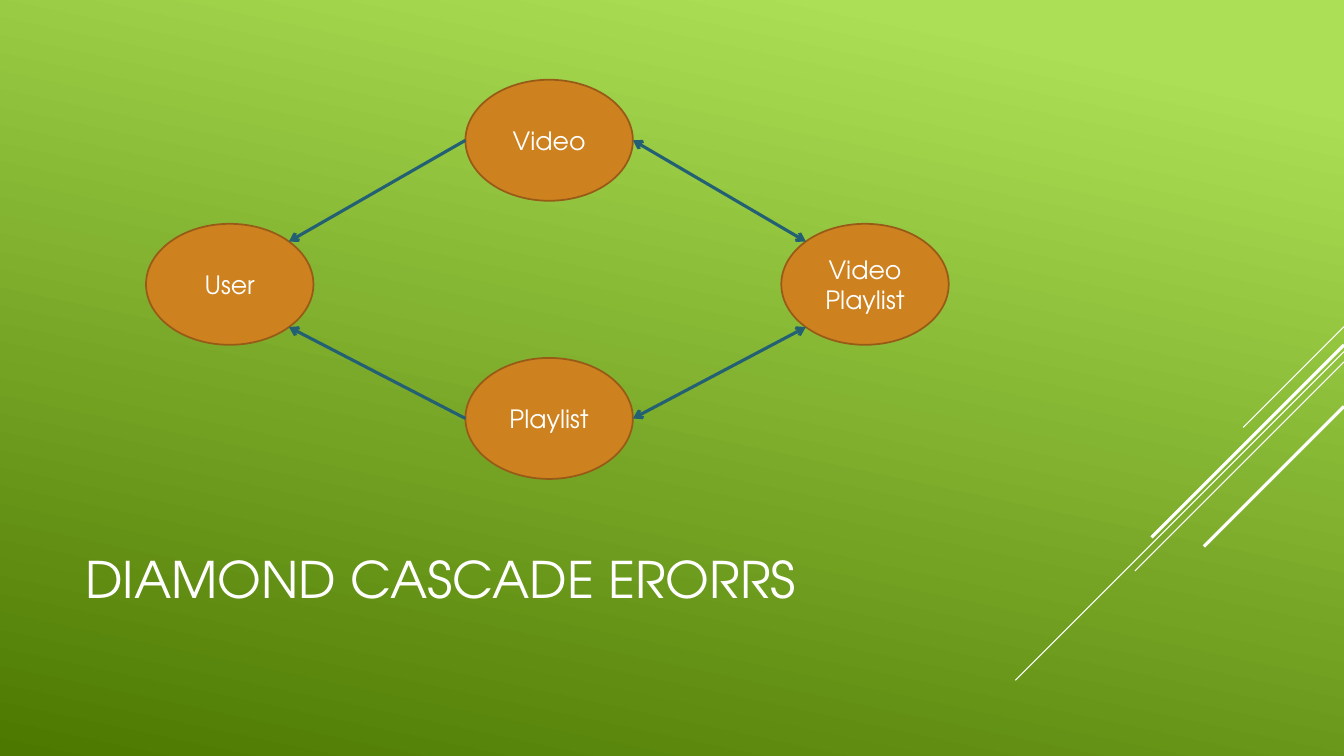
from math import cos, radians, sin
from typing import NamedTuple

from lxml.etree import SubElement
from pptx import Presentation
from pptx.dml.color import RGBColor
from pptx.enum.shapes import MSO_CONNECTOR, MSO_SHAPE
from pptx.enum.text import MSO_ANCHOR, PP_ALIGN
from pptx.oxml.ns import qn
from pptx.util import Cm, Pt

FONT = "TeX Gyre Adventor"
WHITE, ORANGE, BROWN, TEAL = "FFFFFF", "CD811F", "985B17", "236073"
PAGE_WIDTH, PAGE_HEIGHT = 33.87, 19.05
NODE_WIDTH, NODE_HEIGHT = 4.22, 3.05


class Point(NamedTuple):
    x: float
    y: float


class Node(NamedTuple):
    label: str
    left: float
    top: float

    def edge(self, degrees: float) -> Point:
        """Point on the ellipse, clockwise from its right end."""
        angle = radians(degrees)
        return Point(self.left + NODE_WIDTH / 2 * (1 + cos(angle)),
                     self.top + NODE_HEIGHT / 2 * (1 + sin(angle)))


class Relation(NamedTuple):
    start: Point
    end: Point
    both_ways: bool


class Streak(NamedTuple):
    top: float
    run: float
    weight: float


def color(value: str) -> RGBColor:
    return RGBColor.from_string(value)


def write(shape, text: str, *, size: float, align=PP_ALIGN.LEFT) -> None:
    frame = shape.text_frame
    frame.word_wrap = True
    frame.vertical_anchor = MSO_ANCHOR.MIDDLE
    for index, line in enumerate(text.split("\n")):
        para = frame.add_paragraph() if index else frame.paragraphs[0]
        para.alignment = align
        span = para.add_run()
        span.text = line
        span.font.name = FONT
        span.font.size = Pt(size)
        span.font.color.rgb = color(WHITE)


def draw_line(page, start: Point, end: Point, *, ink: str, weight: float,
              arrows: tuple[str, ...] = ()) -> None:
    connector = page.shapes.add_connector(
        MSO_CONNECTOR.STRAIGHT, Cm(start.x), Cm(start.y), Cm(end.x), Cm(end.y))
    connector.line.color.rgb = color(ink)
    connector.line.width = Pt(weight)
    properties = connector._element.spPr
    for arrow in arrows:
        SubElement(properties.find(qn("a:ln")), qn(arrow), type="arrow")
    SubElement(properties, qn("a:effectLst"))


def draw_streak(page, streak: Streak) -> None:
    draw_line(page, Point(PAGE_WIDTH, streak.top),
              Point(PAGE_WIDTH - streak.run, streak.top + streak.run),
              ink=WHITE, weight=streak.weight)


def draw_node(page, node: Node) -> None:
    ellipse = page.shapes.add_shape(
        MSO_SHAPE.OVAL, Cm(node.left), Cm(node.top), Cm(NODE_WIDTH), Cm(NODE_HEIGHT))
    ellipse.shadow.inherit = False
    ellipse.fill.solid()
    ellipse.fill.fore_color.rgb = color(ORANGE)
    ellipse.line.color.rgb = color(BROWN)
    ellipse.line.width = Pt(1.25)
    frame = ellipse.text_frame
    frame.margin_left = frame.margin_right = Cm(0)
    write(ellipse, node.label, size=18, align=PP_ALIGN.CENTER)


def draw_relation(page, relation: Relation) -> None:
    arrows = ("a:headEnd", "a:tailEnd") if relation.both_ways else ("a:tailEnd",)
    draw_line(page, relation.start, relation.end, ink=TEAL, weight=2.25, arrows=arrows)


deck = Presentation()
deck.slide_width, deck.slide_height = Cm(PAGE_WIDTH), Cm(PAGE_HEIGHT)
page = deck.slides.add_slide(deck.slide_layouts[6])

# Background gradient
backdrop = page.background.fill
backdrop.gradient()
backdrop.gradient_angle = 258
for stop, (position, tint) in zip(backdrop.gradient_stops,
                                  [(0.1, "ACDF55"), (1, "4C7800")]):
    stop.position = position
    stop.color.rgb = color(tint)

# Diagonal streaks at the right edge
for streak in (Streak(8.23, 2.54, 0.75), Streak(8.86, 8.28, 0.75),
               Streak(9.12, 5.27, 0.75), Streak(8.69, 4.85, 2.25),
               Streak(10.24, 3.53, 2.25)):
    draw_streak(page, streak)

# Title
title = page.shapes.add_textbox(Cm(1.9), Cm(12.47), Cm(23.7), Cm(4.19))
write(title, "DIAMOND CASCADE ERORRS", size=36)

# Diamond of entities
user = Node("User", 3.68, 5.64)
video = Node("Video", 11.73, 2.01)
video_playlist = Node("Video\nPlaylist", 19.69, 5.64)
playlist = Node("Playlist", 11.73, 9.02)
for node in (user, video, video_playlist, playlist):
    draw_node(page, node)

# Relations between entities
for relation in (
        Relation(video.edge(180), user.edge(-45), False),
        Relation(playlist.edge(180), user.edge(45), False),
        Relation(video.edge(0), video_playlist.edge(-135), True),
        Relation(playlist.edge(0), video_playlist.edge(135), True)):
    draw_relation(page, relation)

deck.save("out.pptx")
